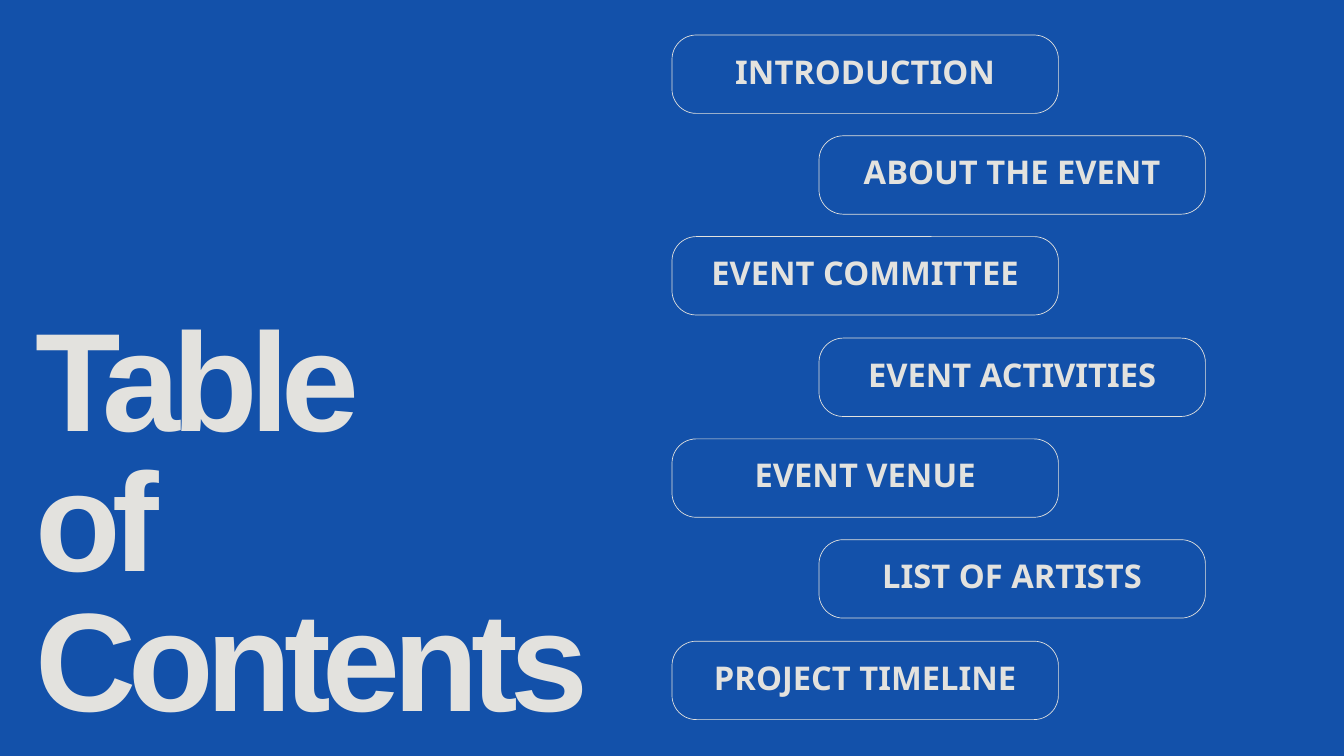
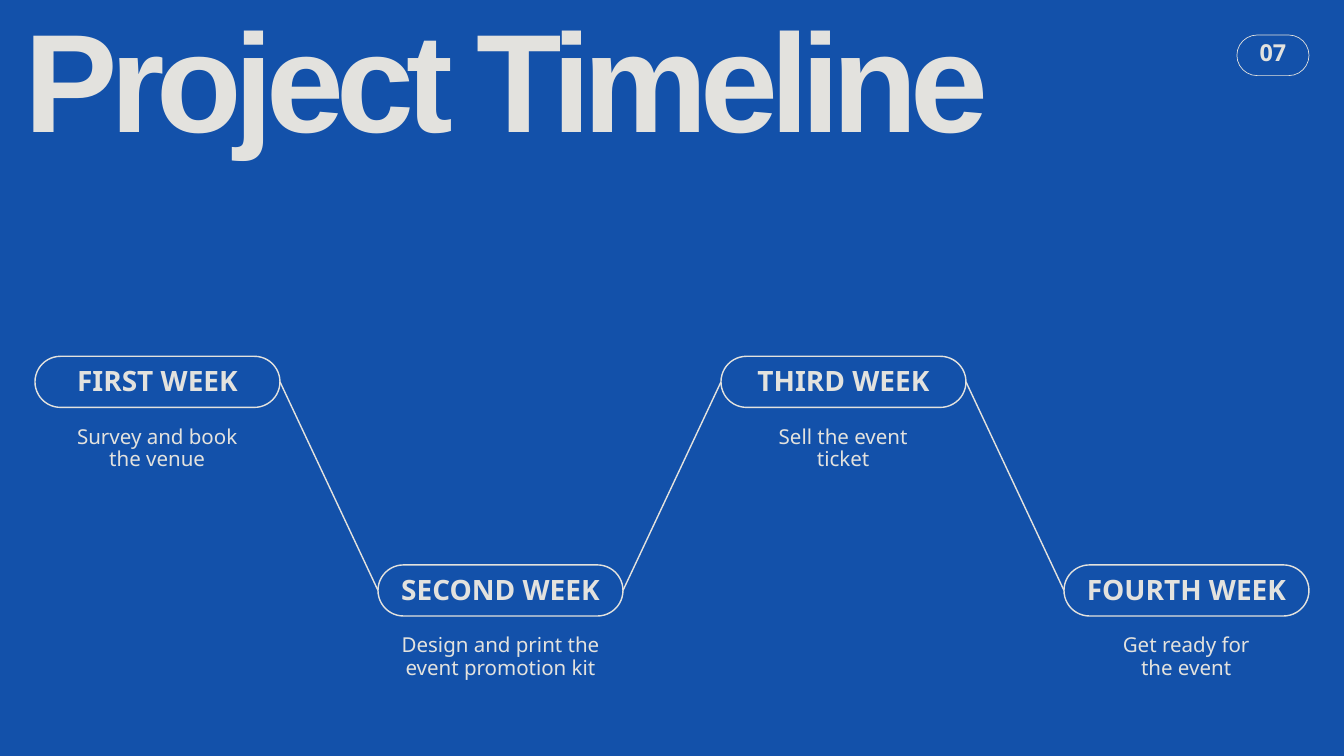
"""Build the contents and project timeline slides of an event proposal."""
from dataclasses import dataclass
from itertools import pairwise

from lxml.etree import SubElement
from pptx import Presentation
from pptx.dml.color import RGBColor
from pptx.enum.shapes import MSO_CONNECTOR, MSO_SHAPE
from pptx.enum.text import MSO_ANCHOR, MSO_AUTO_SIZE, PP_ALIGN
from pptx.oxml.ns import qn
from pptx.presentation import Presentation as Deck
from pptx.shapes.autoshape import Shape
from pptx.slide import Slide
from pptx.text.text import TextFrame
from pptx.util import Emu, Pt

BLUE = RGBColor(0x13, 0x51, 0xAA)
CREAM = RGBColor(0xE3, 0xE2, 0xDE)
TITLE_ONLY = 5
LEFT_SIDE, RIGHT_SIDE = 1, 3


@dataclass(frozen=True)
class Box:
    left: int
    top: int
    width: int
    height: int

    def emu(self) -> tuple[Emu, ...]:
        return tuple(px(n) for n in (self.left, self.top, self.width, self.height))


@dataclass(frozen=True)
class TextStyle:
    size: float
    leading: float
    font: str = "Noto Sans"
    bold: bool = True
    align: PP_ALIGN = PP_ALIGN.CENTER
    anchor: MSO_ANCHOR = MSO_ANCHOR.MIDDLE
    tracking: int = 0


@dataclass(frozen=True)
class PillStyle:
    text: TextStyle
    line: float
    rounding: float = 0.5


@dataclass(frozen=True)
class Week:
    name: str
    task: str
    task_width: int


TITLE = TextStyle(150, 150, "Arial", align=PP_ALIGN.LEFT, anchor=MSO_ANCHOR.TOP, tracking=-820)
TASK = TextStyle(22, 24.2, bold=False, anchor=MSO_ANCHOR.TOP)
CHAPTER_PILL = PillStyle(TextStyle(35, 35), 0.75, 0.31)
WEEK_PILL = PillStyle(TextStyle(30, 33), 1.5)
NUMBER_PILL = PillStyle(TextStyle(25, 22.5), 0.75)

CHAPTERS = (
    "INTRODUCTION",
    "ABOUT THE EVENT",
    "EVENT COMMITTEE",
    "EVENT ACTIVITIES",
    "EVENT VENUE",
    "LIST OF ARTISTS",
    "PROJECT TIMELINE",
)
CHAPTER_LEFTS = (960, 1170)
FIRST_CHAPTER_TOP, LAST_CHAPTER_TOP = 50, 916

WEEKS = (
    Week("FIRST WEEK", "Survey and book\nthe venue", 291),
    Week("SECOND WEEK", "Design and print the event promotion kit", 336),
    Week("THIRD WEEK", "Sell the event ticket", 241),
    Week("FOURTH WEEK", "Get ready for the event", 221),
)
WEEK_LEFT, WEEK_PITCH = 50, 490
WEEK_TOPS = (509, 807)
WEEK_WIDTH, WEEK_HEIGHT = 350, 73
TASK_DROP, TASK_HEIGHT = 99, 66


def px(length: int) -> Emu:
    return Emu(length * 9525)


def write(frame: TextFrame, text: str, style: TextStyle) -> None:
    frame.text = text
    frame.auto_size = MSO_AUTO_SIZE.NONE
    frame.word_wrap = True
    frame.vertical_anchor = style.anchor
    frame.margin_left = frame.margin_right = frame.margin_top = frame.margin_bottom = 0
    for paragraph in frame.paragraphs:
        paragraph.alignment = style.align
        paragraph.line_spacing = Pt(style.leading)
        font = paragraph.font
        font.name, font.size, font.bold = style.font, Pt(style.size), style.bold
        font.color.rgb = CREAM
        if style.tracking:
            defaults = paragraph._p.pPr.find(qn("a:defRPr"))
            defaults.set("spc", str(style.tracking))


def add_titled_slide(deck: Deck, text: str, box: Box) -> Slide:
    slide = deck.slides.add_slide(deck.slide_layouts[TITLE_ONLY])
    title = slide.shapes.title
    title.left, title.top, title.width, title.height = box.emu()
    write(title.text_frame, text, TITLE)
    return slide


def add_pill(slide: Slide, text: str, box: Box, style: PillStyle) -> Shape:
    pill = slide.shapes.add_shape(MSO_SHAPE.ROUNDED_RECTANGLE, *box.emu())
    pill.adjustments[0] = style.rounding
    pill.shadow.inherit = False
    pill.fill.background()
    pill.line.color.rgb = CREAM
    pill.line.width = Pt(style.line)
    write(pill.text_frame, text, style.text)
    return pill


def add_week(slide: Slide, index: int, week: Week) -> Shape:
    left = WEEK_LEFT + index * WEEK_PITCH
    top = WEEK_TOPS[index % 2]
    task_left = left + (WEEK_WIDTH - week.task_width) // 2
    task_box = Box(task_left, top + TASK_DROP, week.task_width, TASK_HEIGHT)
    task = slide.shapes.add_textbox(*task_box.emu())
    write(task.text_frame, week.task, TASK)
    return add_pill(slide, week.name, Box(left, top, WEEK_WIDTH, WEEK_HEIGHT), WEEK_PILL)


def join(slide: Slide, earlier: Shape, later: Shape) -> None:
    link = slide.shapes.add_connector(MSO_CONNECTOR.STRAIGHT, 0, 0, 0, 0)
    link.begin_connect(earlier, RIGHT_SIDE)
    link.end_connect(later, LEFT_SIDE)
    link.line.color.rgb = CREAM
    link.line.width = Pt(WEEK_PILL.line)
    SubElement(link._element.spPr, qn("a:effectLst"))


def add_contents(deck: Deck) -> None:
    slide = add_titled_slide(deck, "Table\nof Contents", Box(50, 456, 879, 611))
    span = LAST_CHAPTER_TOP - FIRST_CHAPTER_TOP
    for index, chapter in enumerate(CHAPTERS):
        top = FIRST_CHAPTER_TOP + span * index // (len(CHAPTERS) - 1)
        add_pill(slide, chapter, Box(CHAPTER_LEFTS[index % 2], top, 552, 112), CHAPTER_PILL)


def add_timeline(deck: Deck) -> None:
    slide = add_titled_slide(deck, "Project Timeline", Box(35, 29, 1500, 211))
    week_pills = [add_week(slide, index, week) for index, week in enumerate(WEEKS)]
    for earlier, later in pairwise(week_pills):
        join(slide, earlier, later)
    add_pill(slide, "07", Box(1767, 50, 103, 58), NUMBER_PILL)


def main() -> None:
    deck = Presentation()
    deck.slide_width, deck.slide_height = px(1920), px(1080)
    backdrop = deck.slide_master.background.fill
    backdrop.solid()
    backdrop.fore_color.rgb = BLUE
    add_contents(deck)
    add_timeline(deck)
    deck.save("out.pptx")


if __name__ == "__main__":
    main()
